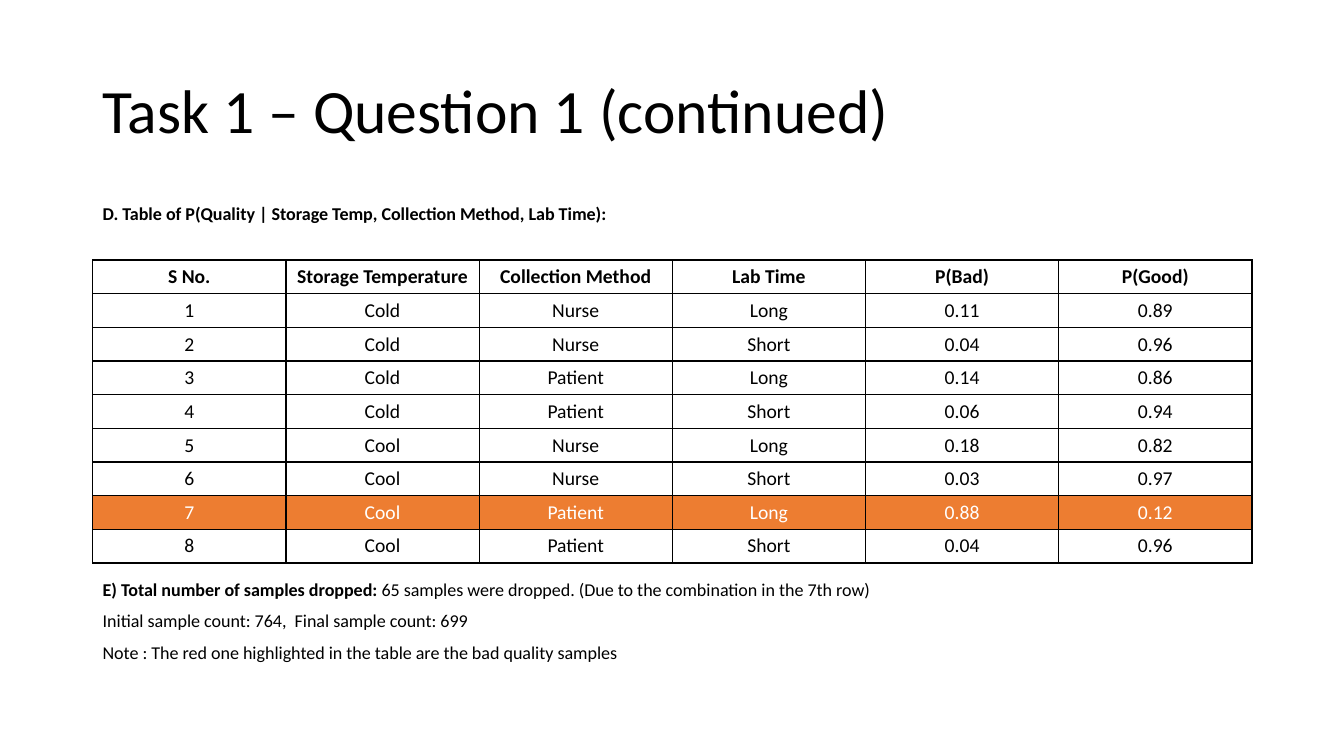
from itertools import product

from lxml.etree import SubElement
from pptx import Presentation
from pptx.dml.color import RGBColor
from pptx.enum.text import MSO_ANCHOR, PP_ALIGN
from pptx.oxml.ns import qn
from pptx.util import Inches, Pt

COLORS = {"text": "000000", "border": "000000", "highlight": "ED7D31", "highlight_text": "FFFFFF"}
FONT = "Calibri"
SLIDE_WIDTH, SLIDE_HEIGHT = Inches(13.33), Inches(7.5)

# Content column, in percent of the slide width
LEFT, WIDTH = 6.9, 86.25
NOTE_SIZE = 12.9

HEADERS = ["S No.", "Storage Temperature", "Collection Method", "Lab Time", "P(Bad)", "P(Good)"]
CONDITIONS = list(product(["Cold", "Cool"], ["Nurse", "Patient"], ["Long", "Short"]))
BAD_SHARES = [0.11, 0.04, 0.14, 0.06, 0.18, 0.03, 0.88, 0.04]
HIGHLIGHTED_ROW = 7


def content_box(top, height):
    """Box in the content column; top and height in percent of the slide height."""
    return (int(SLIDE_WIDTH * LEFT / 100), int(SLIDE_HEIGHT * top / 100),
            int(SLIDE_WIDTH * WIDTH / 100), int(SLIDE_HEIGHT * height / 100))


def write(paragraph, text, size, bold=False, color="text", align=None, line_spacing=None, before=0):
    """Append a run of text to a paragraph and format both."""
    run = paragraph.add_run()
    run.text = text
    run.font.name = FONT
    run.font.size = Pt(size)
    run.font.bold = bold
    run.font.color.rgb = RGBColor.from_string(COLORS[color])
    paragraph.alignment = align
    paragraph.line_spacing = line_spacing
    paragraph.space_before = Pt(before)


def add_text(slide, top, height, paragraphs, size, line_spacing, anchor=MSO_ANCHOR.TOP):
    """Add a text box; each paragraph is a list of (text, bold) runs."""
    frame = slide.shapes.add_textbox(*content_box(top, height)).text_frame
    frame.word_wrap = True
    frame.vertical_anchor = anchor
    for index, runs in enumerate(paragraphs):
        paragraph = frame.add_paragraph() if index else frame.paragraphs[0]
        for text, bold in runs:
            write(paragraph, text, size, bold=bold, line_spacing=line_spacing,
                  before=10 if index else 0)


def add_borders(cell):
    properties = cell._tc.get_or_add_tcPr()
    for side in ("a:lnL", "a:lnR", "a:lnT", "a:lnB"):
        line = SubElement(properties, qn(side), w=str(Pt(1)))
        fill = SubElement(line, qn("a:solidFill"))
        SubElement(fill, qn("a:srgbClr"), val=COLORS["border"])


def format_cell(cell, text, header, highlighted):
    cell.vertical_anchor = MSO_ANCHOR.MIDDLE
    add_borders(cell)
    if highlighted:
        cell.fill.solid()
        cell.fill.fore_color.rgb = RGBColor.from_string(COLORS["highlight"])
    else:
        cell.fill.background()
    write(cell.text_frame.paragraphs[0], text, 14, bold=header, align=PP_ALIGN.CENTER,
          color="highlight_text" if highlighted else "text")


def add_quality_table(slide, top, height):
    rows = [HEADERS]
    for number, (condition, bad) in enumerate(zip(CONDITIONS, BAD_SHARES), start=1):
        rows.append([str(number), *condition, f"{bad:.2f}", f"{1 - bad:.2f}"])
    table = slide.shapes.add_table(len(rows), len(HEADERS), *content_box(top, height)).table
    table.first_row = table.horz_banding = False
    for row, values in enumerate(rows):
        for column, text in enumerate(values):
            format_cell(table.cell(row, column), text, row == 0, row == HIGHLIGHTED_ROW)


def main():
    presentation = Presentation()
    presentation.slide_width, presentation.slide_height = SLIDE_WIDTH, SLIDE_HEIGHT
    slide = presentation.slides.add_slide(presentation.slide_layouts[6])

    # Title
    add_text(slide, 5.33, 19.33, [[("Task 1 – Question 1 (continued)", False)]],
             44, 0.9, anchor=MSO_ANCHOR.MIDDLE)

    # Table with its caption
    caption = "D. Table of P(Quality | Storage Temp, Collection Method, Lab Time):"
    add_text(slide, 26.67, 6, [[(caption, True)]], NOTE_SIZE, 0.8)
    add_quality_table(slide, 34.4, 40)

    # Notes below the table
    add_text(slide, 76.4, 13.73, [
        [("E) Total number of samples dropped:", True),
         (" 65 samples were dropped. (Due to the combination in the 7th row)", False)],
        [("Initial sample count: 764,  Final sample count: 699", False)],
        [("Note : The red one highlighted in the table are the bad quality samples", False)],
    ], NOTE_SIZE, 0.8)

    presentation.save("out.pptx")


if __name__ == "__main__":
    main()
